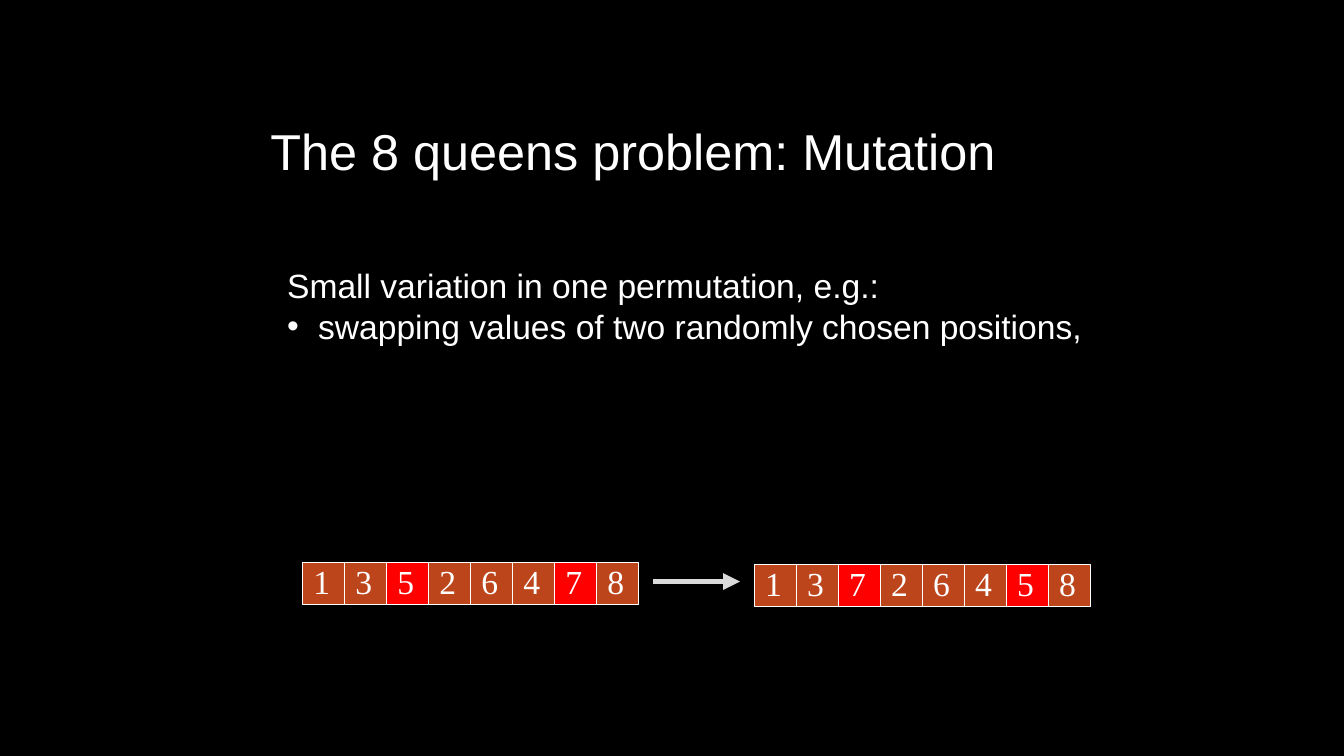
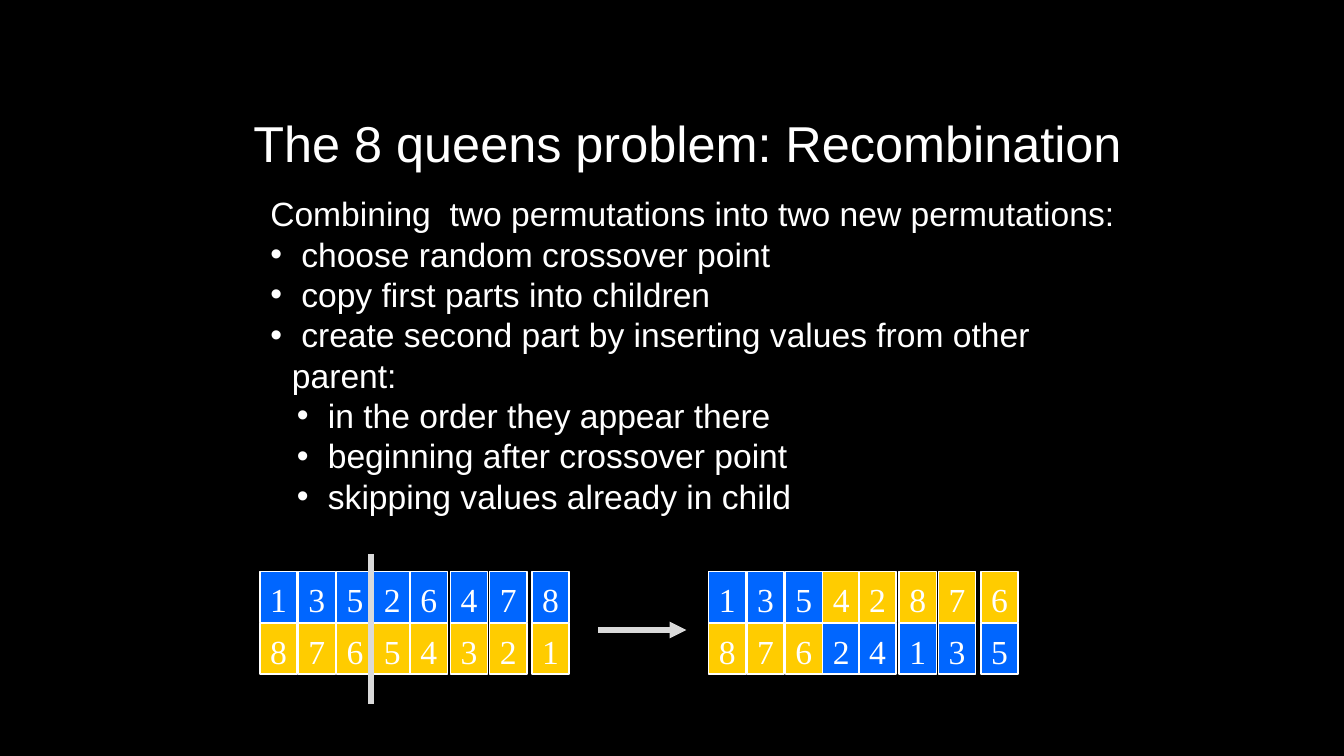
from lxml.etree import SubElement
from pptx import Presentation
from pptx.dml.color import RGBColor
from pptx.enum.shapes import MSO_CONNECTOR, MSO_SHAPE
from pptx.enum.text import MSO_ANCHOR, PP_ALIGN
from pptx.oxml.ns import qn
from pptx.util import Pt

BLACK, WHITE, GREY = "000000", "FFFFFF", "DADADA"
FILLS = {"o": "BC451B", "r": "FF0000", "b": "0066FF", "y": "FFCC00"}
HANGING = 15.5
LEVEL_STEP = 19
EVEN_OFFSETS = [30 * column for column in range(8)]
SPLIT_OFFSETS = [0, 27.4, 54.7, 81.4, 107.3, 136.1, 164.2, 194.4]


def color(hex_string):
    return RGBColor.from_string(hex_string)


def write(para, text, size=24, font="Arial", align=PP_ALIGN.LEFT, spacing=None):
    """Put one formatted span of white text into a paragraph."""
    para.alignment = align
    if spacing:
        para.line_spacing = Pt(spacing)
    span = para.add_run()
    span.text = text
    span.font.size = Pt(size)
    span.font.name = font
    span.font.color.rgb = color(WHITE)


# Body lines: (level, text), where level None has no bullet.
# Rows: (left, top, digits, fill keys). Lines: (x1, y1, x2, y2, has arrowhead).
# Digit margins: left, top, right, bottom.
slides = [
    {
        "title": ("The 8 queens problem: Mutation", 186, 60),
        "body_at": (198, 186, 588, 65.5),
        "body": [
            (None, "Small variation in one permutation, e.g.:"),
            (0, " swapping values of two randomly chosen positions,"),
        ],
        "cell_size": (30, 30),
        "offsets": EVEN_OFFSETS,
        "digit_margins": (0, 0, 2.4, 4),
        "rows": [
            (216, 402, "13526478", "ooroooro"),
            (538.8, 403.2, "13726458", "ooroooro"),
        ],
        "lines": [(466.8, 415.4, 528.6, 415.4, True)],
    },
    {
        "title": ("The 8 queens problem: Recombination", 174, 54),
        "body_at": (186, 134.6, 631.4, 240),
        "body": [
            (None, "Combining  two permutations into two new permutations:"),
            (0, " choose random crossover point"),
            (0, " copy first parts into children"),
            (0, " create second part by inserting values from other parent:"),
            (1, " in the order they appear there"),
            (1, " beginning after crossover point"),
            (1, " skipping values already in child"),
        ],
        "cell_size": (26.6, 36.4),
        "offsets": SPLIT_OFFSETS,
        "digit_margins": (0, 3, 0, 0),
        "rows": [
            (185.6, 408.2, "13526478", "bbbbbbbb"),
            (185.6, 445, "87654321", "yyyyyyyy"),
            (506.2, 408.2, "13542876", "bbbyyyyy"),
            (506.2, 445, "87624135", "yyybbbbb"),
        ],
        "lines": [
            (427, 450, 490.3, 450, True),
            (265, 396, 265, 502.6, False),
        ],
    },
]

deck = Presentation()
deck.slide_width, deck.slide_height = Pt(960), Pt(540)

for content in slides:
    slide = deck.slides.add_slide(deck.slide_layouts[6])
    slide.background.fill.solid()
    slide.background.fill.fore_color.rgb = color(BLACK)

    title, left, top = content["title"]
    box = slide.shapes.add_textbox(Pt(left), Pt(top), Pt(654), Pt(72.6))
    box.text_frame.word_wrap = True
    box.text_frame.vertical_anchor = MSO_ANCHOR.BOTTOM
    write(box.text_frame.paragraphs[0], title, size=36)

    box = slide.shapes.add_textbox(*map(Pt, content["body_at"]))
    frame = box.text_frame
    frame.word_wrap = True
    for index, (level, text) in enumerate(content["body"]):
        para = frame.add_paragraph() if index else frame.paragraphs[0]
        write(para, text, spacing=28.8)
        if level is not None:
            para.level = level
            properties = para._p.get_or_add_pPr()
            properties.set("marL", str(Pt(HANGING + level * LEVEL_STEP)))
            properties.set("indent", str(-Pt(HANGING)))
            SubElement(properties, qn("a:buFont")).set("typeface", "Arial")
            SubElement(properties, qn("a:buChar")).set("char", "•")

    width, height = content["cell_size"]
    for left, top, digits, fills in content["rows"]:
        for offset, digit, fill in zip(content["offsets"], digits, fills):
            cell = slide.shapes.add_shape(
                MSO_SHAPE.RECTANGLE, Pt(left + offset), Pt(top), Pt(width), Pt(height))
            cell.shadow.inherit = False
            cell.fill.solid()
            cell.fill.fore_color.rgb = color(FILLS[fill])
            cell.line.color.rgb = color(WHITE)
            cell.line.width = Pt(1)
            frame = cell.text_frame
            frame.word_wrap = False
            frame.vertical_anchor = MSO_ANCHOR.MIDDLE
            (frame.margin_left, frame.margin_top,
             frame.margin_right, frame.margin_bottom) = map(Pt, content["digit_margins"])
            write(frame.paragraphs[0], digit, font="Times New Roman", align=PP_ALIGN.CENTER)

    for *ends, has_arrowhead in content["lines"]:
        line = slide.shapes.add_connector(MSO_CONNECTOR.STRAIGHT, *map(Pt, ends))
        line.line.color.rgb = color(GREY)
        line.line.width = Pt(4)
        if has_arrowhead:
            SubElement(line.line._get_or_add_ln(), qn("a:tailEnd")).set("type", "triangle")
        SubElement(line._element.spPr, qn("a:effectLst"))

deck.save("out.pptx")
